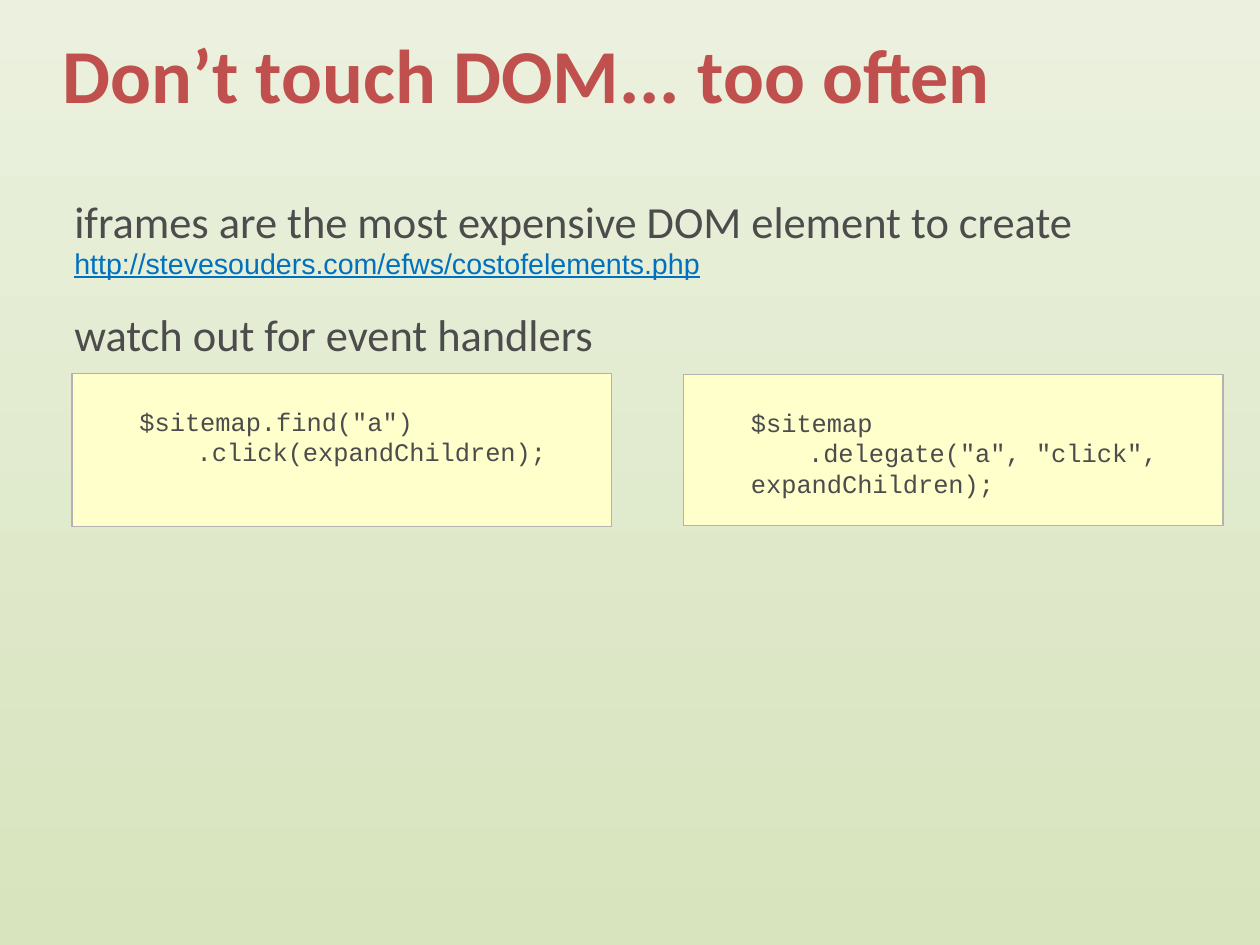
from pptx import Presentation
from pptx import util as u
from pptx.dml import color
from pptx.enum import shapes, text
from pptx.oxml import ns
from lxml import etree

CM_PER_INCH = 2.54
COLORS = {
    "sky": "EBF1DE", "ground": "D7E4BD", "title": "C0504D", "body": "4C4C4C",
    "link": "0070C0", "code_fill": "FFFFCC", "code_line": "B2B2B2",
}
TITLE = {"name": "Calibri", "size": u.Pt(48), "bold": True}
BODY = {"name": "Calibri", "size": u.Pt(28)}
LINK = {"name": "Arial", "size": u.Pt(18), "underline": True}
CODE = {"name": "Courier New", "size": u.Pt(16)}


def rgb(name):
    return color.RGBColor.from_string(COLORS[name])


def place(shape, box):
    shape.left, shape.top, shape.width, shape.height = map(u.Inches, box)


def set_frame(frame, insets):
    frame.word_wrap = True
    frame.auto_size = text.MSO_AUTO_SIZE.NONE
    frame.vertical_anchor = text.MSO_ANCHOR.TOP
    for side, inset in zip(("left", "top", "right", "bottom"), insets):
        setattr(frame, f"margin_{side}", u.Inches(inset))


def write_lines(frame, lines, line_spacing):
    """Write (wording, font, colour, space before, margin, first indent) lines."""
    for index, (wording, font, shade, before, margin, indent) in enumerate(lines):
        para = frame.paragraphs[0] if index == 0 else frame.add_paragraph()
        para.alignment = text.PP_ALIGN.LEFT
        para.line_spacing = line_spacing
        para.space_before = u.Pt(before)
        props = para._p.get_or_add_pPr()
        props.set("marL", str(u.Inches(margin)))
        props.set("indent", str(u.Inches(indent)))
        etree.SubElement(props, ns.qn("a:buNone"))
        span = para.add_run()
        span.text = wording
        span.font.color.rgb = rgb(shade)
        for key, value in font.items():
            setattr(span.font, key, value)


def paint_background(page):
    fill = page.background.fill
    fill.gradient()
    fill.gradient_angle = 270
    for stop, name, position in zip(fill.gradient_stops, ("sky", "ground"), (0, 1)):
        stop.color.rgb = rgb(name)
        stop.position = position


def add_title(page, box, wording):
    title = page.shapes.title
    place(title, box)
    set_frame(title.text_frame, (0, 0, 0, 0))
    write_lines(title.text_frame, [(wording, TITLE, "title", 0, 0, 0)], 1.02)


def add_body(page, box):
    body = page.placeholders[1]
    place(body, box)
    set_frame(body.text_frame, (0.1, 0.05, 0.1, 0.05))
    write_lines(body.text_frame, [
        ("iframes are the most expensive DOM element to create", BODY, "body", 0, 0, 0),
        ("http://stevesouders.com/efws/costofelements.php", LINK, "link", 0, 0, 0),
        ("watch out for event handlers", BODY, "body", 20, 0, 0),
    ], 0.93)


def add_code(page, box, receiver, call):
    panel = page.shapes.add_shape(shapes.MSO_SHAPE.RECTANGLE, *map(u.Inches, box))
    panel.shadow.inherit = False
    panel.fill.solid()
    panel.fill.fore_color.rgb = rgb("code_fill")
    panel.line.color.rgb = rgb("code_line")
    panel.line.width = u.Pt(0.75)
    set_frame(panel.text_frame, (0.2, 0.28, 0, 0))
    write_lines(panel.text_frame, [
        (receiver, CODE, "body", 0, 0.39, 0),
        (call, CODE, "body", 0, 0.39, 0.5),
    ], 1.0)


def main():
    deck = Presentation()
    deck.slide_width = u.Inches(28 / CM_PER_INCH)
    deck.slide_height = u.Inches(21 / CM_PER_INCH)
    page = deck.slides.add_slide(deck.slide_layouts[1])
    paint_background(page)
    add_title(page, (0.55, 0.22, 9.92, 1.49), "Don’t touch DOM... too often")
    add_body(page, (0.55, 1.69, 10, 1.54))
    add_code(page, (0.63, 3.27, 4.72, 1.34),
             '$sitemap.find("a")', ".click(expandChildren);")
    add_code(page, (5.98, 3.28, 4.72, 1.32),
             "$sitemap", '.delegate("a", "click", expandChildren);')
    deck.save("out.pptx")


if __name__ == "__main__":
    main()
